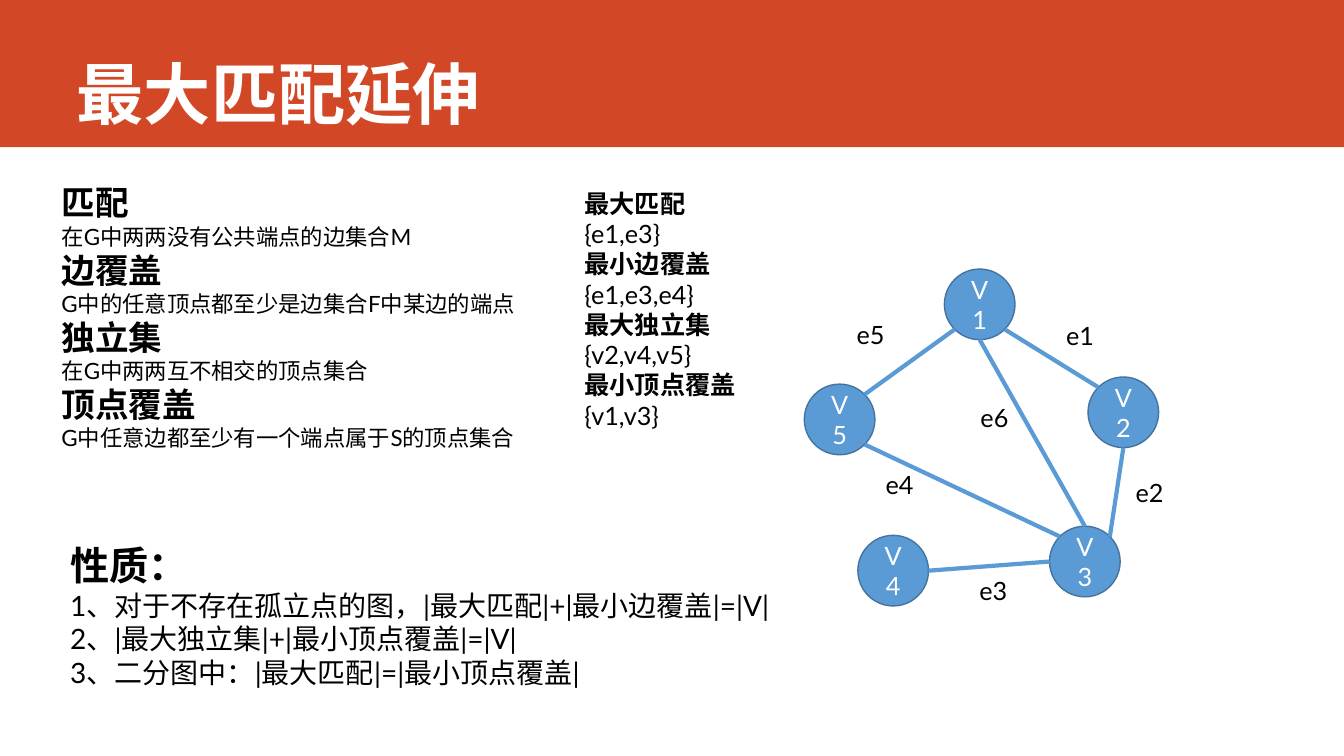
from math import cos, radians, sin

from lxml import etree
from pptx import Presentation
from pptx.dml.color import RGBColor
from pptx.enum.shapes import MSO_CONNECTOR, MSO_SHAPE
from pptx.enum.text import MSO_ANCHOR, MSO_AUTO_SIZE, PP_ALIGN
from pptx.oxml.ns import qn
from pptx.util import Cm, Pt

RECTANGLE, OVAL = MSO_SHAPE.RECTANGLE, MSO_SHAPE.OVAL
STRAIGHT = MSO_CONNECTOR.STRAIGHT
MIDDLE, BOTTOM = MSO_ANCHOR.MIDDLE, MSO_ANCHOR.BOTTOM
LEFT, CENTER = PP_ALIGN.LEFT, PP_ALIGN.CENTER
GROW, FIXED = MSO_AUTO_SIZE.SHAPE_TO_FIT_TEXT, MSO_AUTO_SIZE.NONE

COLORS = {"band": "D24726", "white": "FFFFFF", "black": "000000",
          "node": "5B9BD5", "outline": "43739E"}
BODY_FONT, TITLE_FONT = "Lato", "Noto Sans CJK SC"
TITLE_ONLY = 5
RADIUS = 0.89

DEFINITIONS = [
    ("匹配", "在G中两两没有公共端点的边集合M"),
    ("边覆盖", "G中的任意顶点都至少是边集合F中某边的端点"),
    ("独立集", "在G中两两互不相交的顶点集合"),
    ("顶点覆盖", "G中任意边都至少有一个端点属于S的顶点集合"),
]
EXAMPLES = [
    ("最大匹配", "{e1,e3}"),
    ("最小边覆盖", "{e1,e3,e4}"),
    ("最大独立集", "{v2,v4,v5}"),
    ("最小顶点覆盖", "{v1,v3}"),
]
PROPERTIES = [
    "1、对于不存在孤立点的图，|最大匹配|+|最小边覆盖|=|V|",
    "2、|最大独立集|+|最小顶点覆盖|=|V|",
    "3、二分图中：|最大匹配|=|最小顶点覆盖|",
]
NODES = {"V1": (24.69, 7.67), "V5": (21.16, 10.57), "V2": (28.31, 10.39),
         "V3": (27.34, 14.15), "V4": (22.51, 14.38)}
EDGES = [
    ("e1", "V1", 45, "V2", 225, (26.62, 7.95)),
    ("e5", "V1", 135, "V5", 315, (21.34, 7.92)),
    ("e4", "V5", 45, "V3", 225, (22.07, 11.71)),
    ("e6", "V1", 90, "V3", 270, (24.46, 10.01)),
    ("e2", "V2", 90, "V3", 315, (28.37, 11.91)),
    ("e3", "V4", 0, "V3", 180, (24.43, 14.38)),
]


def color(name):
    return RGBColor.from_string(COLORS[name])


def write(para, text, size=18, bold=False, fill="black", font=BODY_FONT, align=LEFT):
    para.alignment = align
    span = para.add_run()
    span.text = text
    span.font.size = Pt(size)
    span.font.bold = bold
    span.font.name = font
    span.font.color.rgb = color(fill)
    east_asian = etree.SubElement(span.font._element, qn("a:ea"))
    east_asian.set("typeface", font)


def rim_point(node, angle):
    x, y = NODES[node]
    turn = radians(angle)
    return Cm(x + RADIUS * cos(turn)), Cm(y + RADIUS * sin(turn))


class Slide:
    """Draws styled elements on one slide."""

    def __init__(self, deck):
        self.page = deck.slides.add_slide(deck.slide_layouts[TITLE_ONLY])

    def title(self, text, left, top, width, height):
        box = self.page.shapes.title
        box.left, box.top, box.width, box.height = Cm(left), Cm(top), Cm(width), Cm(height)
        frame = box.text_frame
        frame.vertical_anchor = BOTTOM
        frame.auto_size = FIXED
        frame.margin_bottom = 0
        write(frame.paragraphs[0], text, size=48, bold=True, fill="white", font=TITLE_FONT)

    def shape(self, kind, left, top, width, height, fill, outline=None):
        shape = self.page.shapes.add_shape(kind, Cm(left), Cm(top), Cm(width), Cm(height))
        shape.shadow.inherit = False
        shape.fill.solid()
        shape.fill.fore_color.rgb = color(fill)
        if outline:
            shape.line.color.rgb = color(outline)
            shape.line.width = Pt(1)
        else:
            shape.line.fill.background()
        return shape

    def band(self, width, height):
        band = self.shape(RECTANGLE, 0, 0, width, height, "band")
        self.page.shapes.title._element.addprevious(band._element)

    def node(self, name):
        x, y = NODES[name]
        oval = self.shape(OVAL, x - RADIUS, y - RADIUS, 2 * RADIUS, 2 * RADIUS,
                          "node", "outline")
        frame = oval.text_frame
        frame.word_wrap = True
        frame.vertical_anchor = MIDDLE
        write(frame.paragraphs[0], name, fill="white", align=CENTER)

    def edge(self, start, start_angle, end, end_angle):
        line = self.page.shapes.add_connector(
            STRAIGHT, *rim_point(start, start_angle), *rim_point(end, end_angle))
        line.line.color.rgb = color("node")
        line.line.width = Pt(3)
        etree.SubElement(line._element.spPr, qn("a:effectLst"))

    def text(self, lines, left, top, width, height):
        box = self.page.shapes.add_textbox(Cm(left), Cm(top), Cm(width), Cm(height))
        frame = box.text_frame
        frame.word_wrap = True
        frame.auto_size = GROW
        for index, (text, size, bold) in enumerate(lines):
            para = frame.add_paragraph() if index else frame.paragraphs[0]
            write(para, text, size=size, bold=bold)


def headed_lines(pairs, head_size, body_size):
    return [line for head, body in pairs
            for line in ((head, head_size, True), (body, body_size, False))]


def main():
    deck = Presentation()
    deck.slide_width, deck.slide_height = Cm(33.87), Cm(19.05)
    slide = Slide(deck)
    slide.band(33.87, 3.71)
    slide.title("最大匹配延伸", 1.68, 0, 29.87, 3.35)
    slide.text(headed_lines(DEFINITIONS, 24, 16), 1.3, 4.47, 15.62, 7.34)
    for name in NODES:
        slide.node(name)
    for label, start, start_angle, end, end_angle, place in EDGES:
        slide.edge(start, start_angle, end, end_angle)
        slide.text([(label, 18, False)], *place, 1.35, 1.02)
    slide.text(headed_lines(EXAMPLES, 18, 18), 14.48, 4.62, 5.31, 6.4)
    slide.text([("性质：", 28, True)] + [(text, 20, False) for text in PROPERTIES],
               1.52, 13.51, 18.75, 4.01)
    deck.save("out.pptx")


if __name__ == "__main__":
    main()
